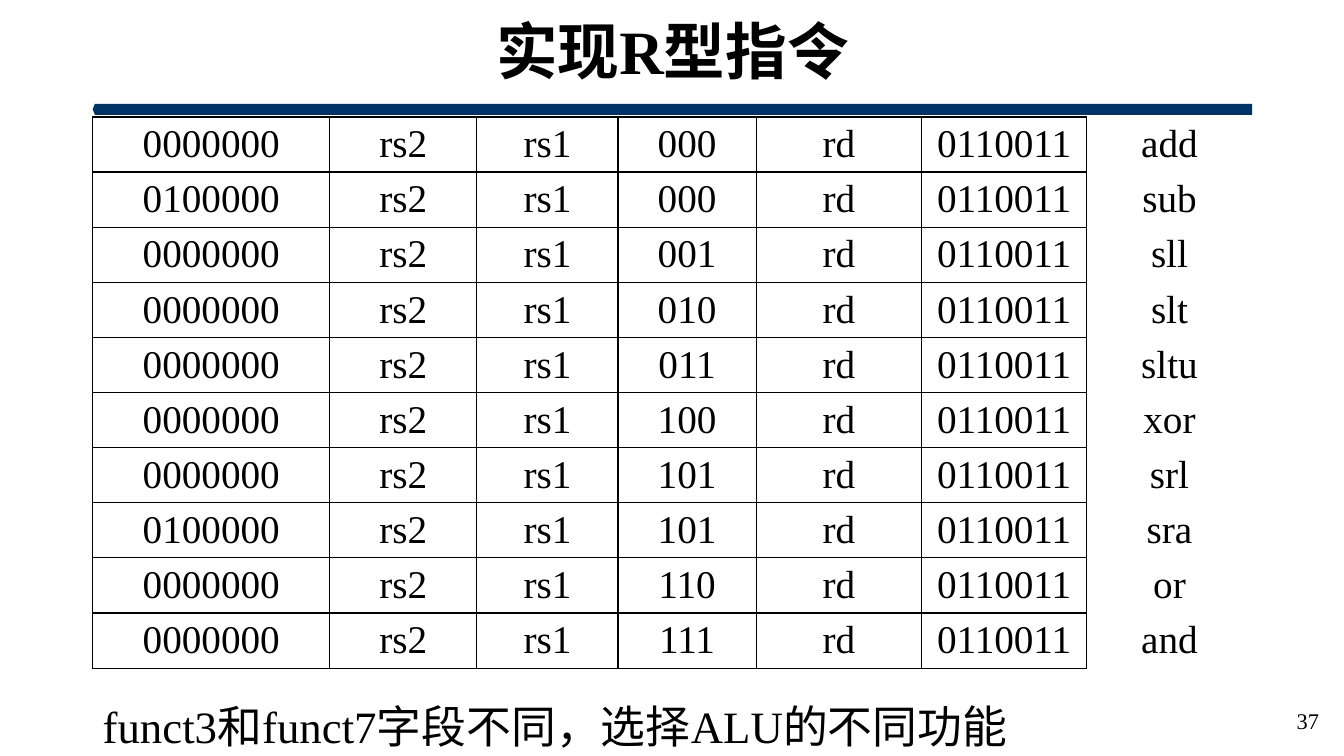
from lxml.etree import SubElement
from pptx import Presentation
from pptx.dml.color import RGBColor
from pptx.enum.shapes import MSO_SHAPE
from pptx.enum.text import MSO_ANCHOR, PP_ALIGN
from pptx.oxml.ns import qn
from pptx.util import Inches, Pt

COLORS = {"text": "000000", "bar": "003366", "paper": "FFFFFF"}
FONT = "Times New Roman"
COLUMN_WIDTHS = [2.35, 1.46, 1.4, 1.37, 1.64, 1.64, 1.64]
ROW_HEIGHT = 0.53
OPCODE = "0110011"
INSTRUCTIONS = [
    ("0000000", "000", "add"),
    ("0100000", "000", "sub"),
    ("0000000", "001", "sll"),
    ("0000000", "010", "slt"),
    ("0000000", "011", "sltu"),
    ("0000000", "100", "xor"),
    ("0000000", "101", "srl"),
    ("0100000", "101", "sra"),
    ("0000000", "110", "or"),
    ("0000000", "111", "and"),
]


def color(name):
    return RGBColor.from_string(COLORS[name])


def set_border(cell, side, visible):
    """Draw or clear one edge of a cell; side is L, R, T or B."""
    properties = cell._tc.get_or_add_tcPr()
    line = SubElement(properties, qn(f"a:ln{side}"), w=str(Pt(1)))
    if visible:
        fill = SubElement(line, qn("a:solidFill"))
        SubElement(fill, qn("a:srgbClr"), val=COLORS["text"])
    else:
        SubElement(line, qn("a:noFill"))


class SlideBuilder:
    def __init__(self, presentation):
        self.slide = presentation.slides.add_slide(presentation.slide_layouts[5])

    def add_text(self, frame, text, size, align, anchor=MSO_ANCHOR.MIDDLE, bold=False):
        frame.word_wrap = True
        frame.vertical_anchor = anchor
        paragraph = frame.paragraphs[0]
        paragraph.alignment = align
        run = paragraph.add_run()
        run.text = text
        formats = {"name": FONT, "size": Pt(size), "bold": bold}
        for attribute, value in formats.items():
            setattr(run.font, attribute, value)
        run.font.color.rgb = color("text")
        return paragraph

    def title(self, text, left, top, width, height):
        title = self.slide.shapes.title
        position = {"left": left, "top": top, "width": width, "height": height}
        for attribute, value in position.items():
            setattr(title, attribute, Inches(value))
        paragraph = self.add_text(title.text_frame, text, 44, PP_ALIGN.CENTER, bold=True)
        paragraph.line_spacing = 0.9

    def shape(self, kind, fill, *box):
        shape = self.slide.shapes.add_shape(kind, *map(Inches, box))
        shape.shadow.inherit = False
        shape.fill.solid()
        shape.fill.fore_color.rgb = color(fill)
        shape.line.fill.background()
        return shape

    def bar(self, *box):
        bar = self.shape(MSO_SHAPE.PENTAGON, "bar", *box)
        bar.adjustments[0] = 0.2
        bar.element.spPr.xfrm.set("flipH", "1")

    def note(self, text, *box):
        note = self.shape(MSO_SHAPE.RECTANGLE, "paper", *box)
        self.add_text(note.text_frame, text, 32, PP_ALIGN.LEFT, MSO_ANCHOR.TOP)

    def page_number(self, text, *box):
        number = self.slide.shapes.add_textbox(*map(Inches, box))
        self.add_text(number.text_frame, text, 16, PP_ALIGN.RIGHT)

    def table(self, rows, left, top):
        """Add a ruled table whose last column stands outside the grid."""
        size = (sum(COLUMN_WIDTHS), ROW_HEIGHT * len(rows))
        table = self.slide.shapes.add_table(
            len(rows), len(COLUMN_WIDTHS), *map(Inches, (left, top, *size))
        ).table
        table.first_row = table.horz_banding = False
        for column, width in zip(table.columns, COLUMN_WIDTHS):
            column.width = Inches(width)
        last = len(COLUMN_WIDTHS) - 1
        for row_index, row in enumerate(rows):
            table.rows[row_index].height = Inches(ROW_HEIGHT)
            for column_index, text in enumerate(row):
                cell = table.cell(row_index, column_index)
                cell.margin_top = cell.margin_bottom = Inches(0.04)
                cell.vertical_anchor = MSO_ANCHOR.MIDDLE
                for side in "LRTB":
                    set_border(cell, side, column_index < last or side == "L")
                cell.fill.background()
                self.add_text(cell.text_frame, text, 28, PP_ALIGN.CENTER, None)


def main():
    presentation = Presentation()
    presentation.slide_width = Inches(13.33)
    presentation.slide_height = Inches(7.5)

    builder = SlideBuilder(presentation)
    builder.bar(0.92, 1.03, 11.5, 0.11)
    builder.title("实现R型指令", 0.92, 0.13, 11.5, 0.82)
    builder.page_number("37", 10.18, 6.95, 3, 0.4)
    rows = [
        (funct7, "rs2", "rs1", funct3, "rd", OPCODE, name)
        for funct7, funct3, name in INSTRUCTIONS
    ]
    builder.table(rows, 0.92, 1.16)
    builder.note("funct3和funct7字段不同，选择ALU的不同功能", 0.92, 6.88, 10.83, 0.64)
    presentation.save("out.pptx")


if __name__ == "__main__":
    main()
